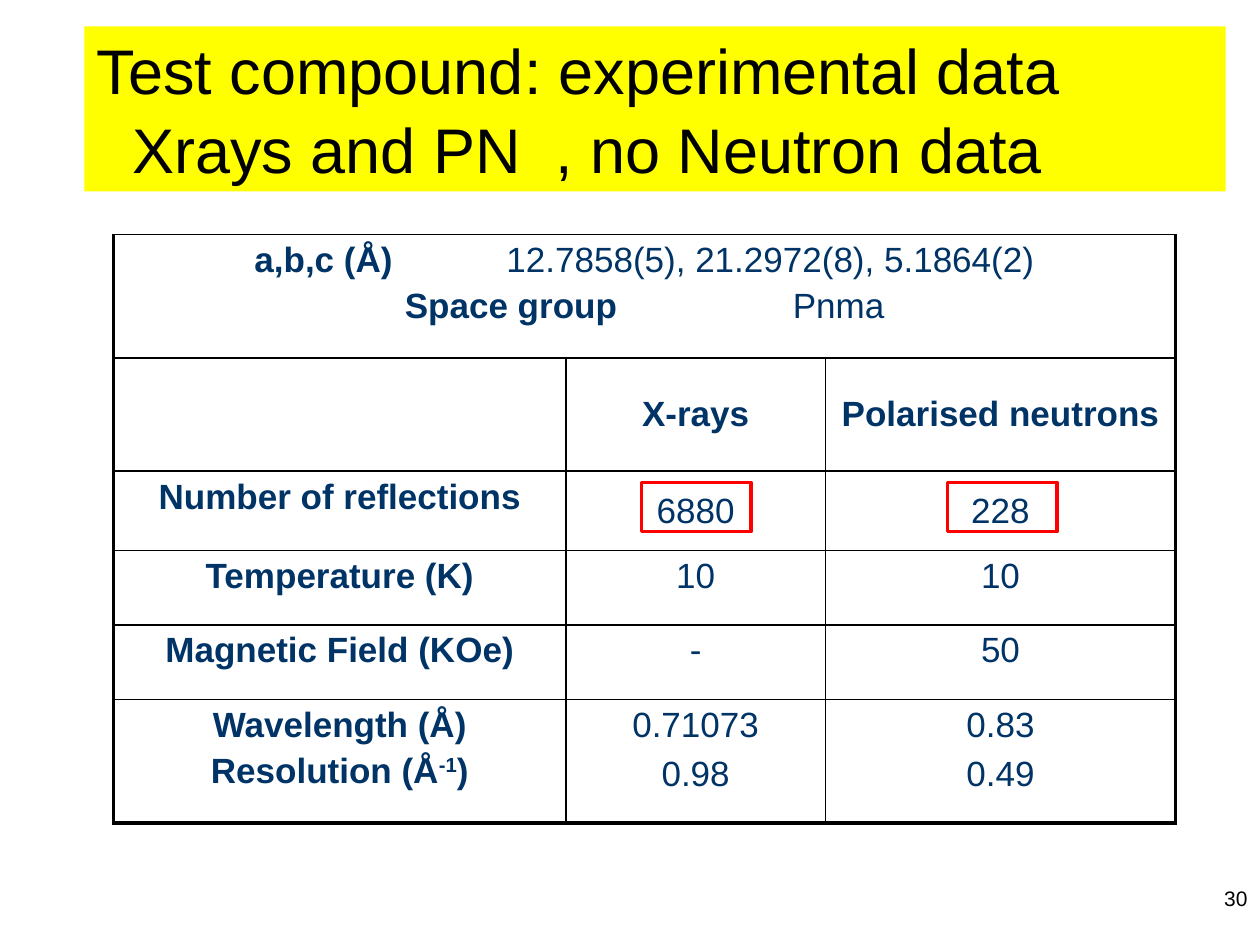
from lxml.etree import SubElement
from pptx import Presentation
from pptx.dml.color import RGBColor
from pptx.enum.shapes import MSO_SHAPE as Shape
from pptx.enum.text import MSO_ANCHOR as Anchor, PP_ALIGN as Align
from pptx.oxml.ns import qn
from pptx.util import Cm, Pt

COLORS = {"black": "000000", "navy": "003366", "yellow": "FFFF00", "red": "FF0000"}
TITLE = ["Test compound: experimental data", "Xrays and PN  , no Neutron data"]
PAGE = "30"
CELL_DATA = [("a,b,c (Å)", "12.7858(5), 21.2972(8), 5.1864(2)", 5.08),
             ("Space group", "Pnma", 7.82)]
ROWS = [
    [[], ["X-rays"], ["Polarised neutrons"]],
    [["Number of reflections"], ["6880"], ["228"]],
    [["Temperature (K)"], ["10"], ["10"]],
    [["Magnetic Field (KOe)"], ["-"], ["50"]],
    [["Wavelength (Å)", "Resolution (Å|-1|)"], ["0.71073", "0.98"], ["0.83", "0.49"]],
]
COLUMN_WIDTHS = [9.12, 5.23, 7.06]
ROW_HEIGHTS = [2.49, 2.28, 1.6, 1.5, 1.5, 2.49]
TABLE_LEFT, TABLE_TOP = 2.29, 4.73
FRAME_LEFTS, FRAME_TOP = [12.93, 19.1], 9.73
MIDDLE_ROWS = (1, 2)


def color(name):
    return RGBColor.from_string(COLORS[name])


def apply(target, **values):
    """Set each named attribute of the target."""
    for name, value in values.items():
        setattr(target, name, value)


def add_run(paragraph, text, size, color_name, bold=False):
    """Append one formatted run and return it."""
    run = paragraph.add_run()
    run.text = text
    apply(run.font, name="Arial", size=Pt(size), bold=bold)
    run.font.color.rgb = color(color_name)
    return run


def add_paragraph(frame, index, gap, alignment):
    """Return the paragraph at the index, spaced from the one before."""
    paragraph = frame.add_paragraph() if index else frame.paragraphs[0]
    apply(paragraph, alignment=alignment, space_before=Pt(gap if index else 0))
    return paragraph


def add_title(slide):
    """Fill and place the title band."""
    title = slide.shapes.title
    apply(title, left=Cm(1.7), top=Cm(0.53), width=Cm(23.01), height=Cm(3.33))
    title.fill.solid()
    title.fill.fore_color.rgb = color("yellow")
    frame = title.text_frame
    apply(frame, word_wrap=True, vertical_anchor=Anchor.MIDDLE)
    for index, text in enumerate(TITLE):
        paragraph = add_paragraph(frame, index, 2, Align.LEFT)
        if index:
            paragraph._p.get_or_add_pPr().set("marL", str(Cm(0.71)))
        add_run(paragraph, text, 36, "black")


def set_borders(cell, row, column):
    """Draw thin inner rules and a heavy left, right and bottom edge."""
    heavy = {"a:lnL": column == 0, "a:lnR": column == 2 or row == 0,
             "a:lnT": False, "a:lnB": row == len(ROWS)}
    properties = cell._tc.get_or_add_tcPr()
    for tag, is_heavy in heavy.items():
        line = SubElement(properties, qn(tag), w=str(Pt(2.25 if is_heavy else 1)))
        fill = SubElement(line, qn("a:solidFill"))
        SubElement(fill, qn("a:srgbClr"), val=COLORS["black"])


def fill_cell_data(frame):
    """Write label and value pairs, set apart by a tab stop."""
    for index, (label, value, stop) in enumerate(CELL_DATA):
        paragraph = add_paragraph(frame, index, 4, Align.CENTER)
        tabs = SubElement(paragraph._p.get_or_add_pPr(), qn("a:tabLst"))
        SubElement(tabs, qn("a:tab"), pos=str(Cm(stop)), algn="l")
        add_run(paragraph, label, 20, "navy", True)
        add_run(paragraph, "\t" + value, 20, "navy")


def fill_cell(frame, lines, is_label, gap):
    """Write centred lines; text between bars is superscript."""
    for index, text in enumerate(lines):
        paragraph = add_paragraph(frame, index, gap, Align.CENTER)
        for part, piece in enumerate(text.split("|")):
            run = add_run(paragraph, piece, 20, "navy", is_label)
            if part % 2:
                run.font._element.set("baseline", "30000")


def add_data_table(slide):
    """Build the table of experimental data."""
    table = slide.shapes.add_table(
        len(ROW_HEIGHTS), len(COLUMN_WIDTHS), Cm(TABLE_LEFT), Cm(TABLE_TOP),
        Cm(sum(COLUMN_WIDTHS)), Cm(sum(ROW_HEIGHTS))).table
    apply(table, first_row=False, horz_banding=False)
    for column, width in zip(table.columns, COLUMN_WIDTHS):
        column.width = Cm(width)
    for row, height in zip(table.rows, ROW_HEIGHTS):
        row.height = Cm(height)
    table.cell(0, 0).merge(table.cell(0, 2))
    fill_cell_data(table.cell(0, 0).text_frame)
    for row in range(len(ROW_HEIGHTS)):
        for column in range(len(COLUMN_WIDTHS)):
            cell = table.cell(row, column)
            set_borders(cell, row, column)
            cell.fill.background()
            if row:
                is_middle = row in MIDDLE_ROWS and column > 0
                cell.vertical_anchor = Anchor.MIDDLE if is_middle else Anchor.TOP
                fill_cell(cell.text_frame, ROWS[row - 1][column],
                          row == 1 or column == 0, 6 if column else 4)


def add_page_number(slide):
    """Write the page number at the lower right."""
    box = slide.shapes.add_textbox(Cm(19.48), Cm(17.73), Cm(5.92), Cm(1.32))
    box.text_frame.word_wrap = True
    add_run(add_paragraph(box.text_frame, 0, 0, Align.RIGHT), PAGE, 12, "black")


def add_frames(slide):
    """Frame the reflection counts in red."""
    for left in FRAME_LEFTS:
        frame = slide.shapes.add_shape(
            Shape.RECTANGLE, Cm(left), Cm(FRAME_TOP), Cm(2.21), Cm(0.99))
        frame.shadow.inherit = False
        frame.fill.background()
        frame.line.color.rgb = color("red")
        frame.line.width = Pt(2)


def main():
    presentation = Presentation()
    apply(presentation, slide_width=Cm(25.4), slide_height=Cm(19.05))
    slide = presentation.slides.add_slide(presentation.slide_layouts[5])
    add_title(slide)
    add_data_table(slide)
    add_page_number(slide)
    add_frames(slide)
    presentation.save("out.pptx")


if __name__ == "__main__":
    main()
